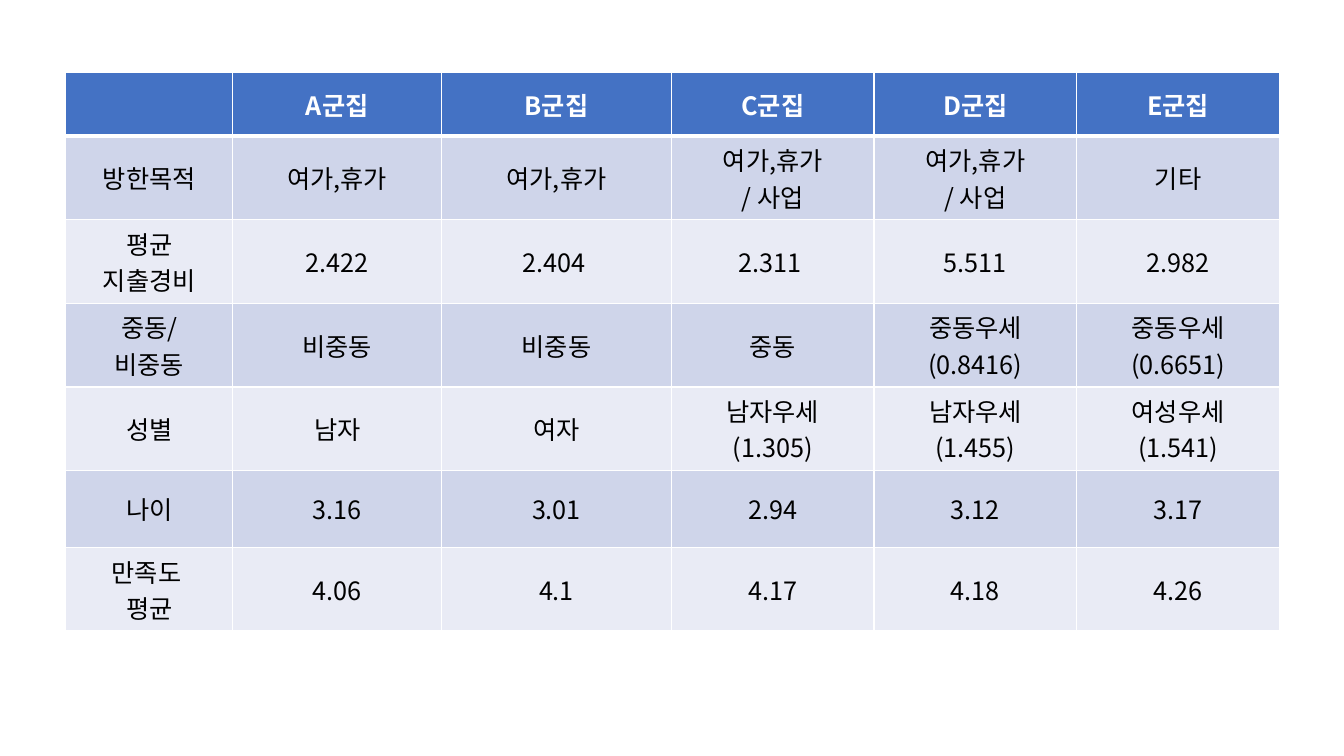
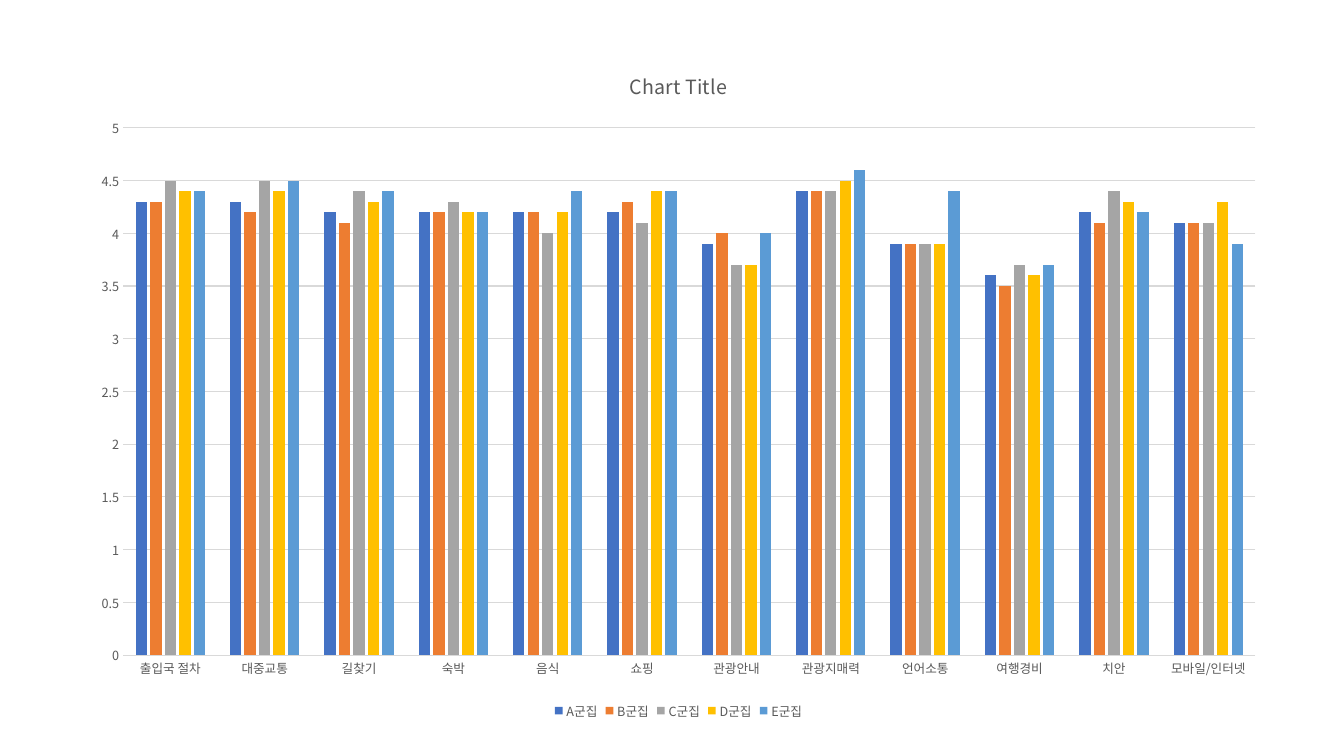
from lxml import etree
from pptx import Presentation
from pptx.chart.data import CategoryChartData
from pptx.dml.color import RGBColor
from pptx.enum.chart import XL_CHART_TYPE, XL_LEGEND_POSITION, XL_TICK_MARK
from pptx.enum.text import MSO_ANCHOR, PP_ALIGN
from pptx.oxml.ns import qn
from pptx.util import Inches, Pt

CLUSTERED = XL_CHART_TYPE.COLUMN_CLUSTERED
LEGEND_BOTTOM = XL_LEGEND_POSITION.BOTTOM
NO_TICK = XL_TICK_MARK.NONE
MIDDLE = MSO_ANCHOR.MIDDLE
CENTER = PP_ALIGN.CENTER

FONT = "Noto Sans CJK KR"
COLORS = {
    "white": "FFFFFF", "black": "000000", "header": "4472C4",
    "odd_row": "CFD5EA", "even_row": "E9EBF5",
    "chart_text": "595959", "chart_line": "D9D9D9",
    "A": "4472C4", "B": "ED7D31", "C": "A5A5A5", "D": "FFC000", "E": "5B9BD5",
}
CLUSTERS = {letter: f"{letter}군집" for letter in "ABCDE"}

TABLE_ROWS = [
    ["", *CLUSTERS.values()],
    ["방한목적", "여가,휴가", "여가,휴가", "여가,휴가\n/ 사업", "여가,휴가\n/ 사업", "기타"],
    ["평균\n지출경비", "2.422", "2.404 ", "2.311 ", "5.511", "2.982"],
    ["중동/\n비중동", "비중동", "비중동", "중동", "중동우세\n(0.8416)", "중동우세\n(0.6651)"],
    ["성별", "남자", "여자", "남자우세\n(1.305)", "남자우세\n(1.455)", "여성우세\n(1.541)"],
    ["나이", "3.16", "3.01", "2.94", "3.12", "3.17"],
    ["만족도 \n평균", "4.06", "4.1", "4.17", "4.18", "4.26"],
]
COLUMN_WIDTHS = [1.66, 2.07, 2.28] + [2.01] * 3
ROW_HEIGHTS = [0.63] + [0.83] * 3 + [0.77] * 3
TABLE_LEFT, TABLE_TOP = 0.65, 0.72

CHART_TITLE = "Chart Title"
CHART_BOX = (0.77, 0.46, 11.92, 6.72)
CATEGORIES = ["출입국 절차", "대중교통", "길찾기", "숙박", "음식", "쇼핑",
              "관광안내", "관광지매력", "언어소통", "여행경비", "치안", "모바일/인터넷"]
SCORES = {
    "A": [4.3, 4.3, 4.2, 4.2, 4.2, 4.2, 3.9, 4.4, 3.9, 3.6, 4.2, 4.1],
    "B": [4.3, 4.2, 4.1, 4.2, 4.2, 4.3, 4, 4.4, 3.9, 3.5, 4.1, 4.1],
    "C": [4.5, 4.5, 4.4, 4.3, 4, 4.1, 3.7, 4.4, 3.9, 3.7, 4.4, 4.1],
    "D": [4.4, 4.4, 4.3, 4.2, 4.2, 4.4, 3.7, 4.5, 3.9, 3.6, 4.3, 4.3],
    "E": [4.4, 4.5, 4.4, 4.2, 4.4, 4.4, 4, 4.6, 4.4, 3.7, 4.2, 3.9],
}


def color(name):
    return RGBColor.from_string(COLORS[name])


def style_font(font, size, color_name, bold=False):
    font.name = FONT
    font.size = Pt(size)
    font.bold = bold
    font.color.rgb = color(color_name)


def add_east_asian_font(element):
    for latin in list(element.iter(qn("a:latin"))):
        east_asian = etree.Element(qn("a:ea"), typeface=FONT)
        latin.addnext(east_asian)


def set_borders(cell, widths):
    properties = cell._tc.get_or_add_tcPr()
    for index, (side, width) in enumerate(widths.items()):
        line = etree.Element(qn(f"a:ln{side}"), w=str(Pt(width)))
        fill = etree.SubElement(line, qn("a:solidFill"))
        etree.SubElement(fill, qn("a:srgbClr"), val=COLORS["white"])
        properties.insert(index, line)


def fill_cell(cell, text, row):
    is_header = row == 0
    cell.text_frame.text = text
    cell.vertical_anchor = MIDDLE
    for paragraph in cell.text_frame.paragraphs:
        paragraph.alignment = CENTER
        for run in paragraph.runs:
            style_font(run.font, 18, "white" if is_header else "black", is_header)
    cell.fill.solid()
    cell.fill.fore_color.rgb = color(
        "header" if is_header else "odd_row" if row % 2 else "even_row")
    set_borders(cell, {"L": 1, "R": 1, "T": 3 if row == 1 else 1, "B": 3 if is_header else 1})


def add_cluster_table(slide):
    table = slide.shapes.add_table(
        len(ROW_HEIGHTS), len(COLUMN_WIDTHS), Inches(TABLE_LEFT), Inches(TABLE_TOP),
        Inches(sum(COLUMN_WIDTHS)), Inches(sum(ROW_HEIGHTS))).table
    for column, width in zip(table.columns, COLUMN_WIDTHS):
        column.width = Inches(width)
    for row, (height, texts) in enumerate(zip(ROW_HEIGHTS, TABLE_ROWS)):
        table.rows[row].height = Inches(height)
        for column, text in enumerate(texts):
            fill_cell(table.cell(row, column), text, row)
    add_east_asian_font(slide.element)


def style_line(line, color_name):
    line.width = Pt(0.75)
    line.color.rgb = color(color_name)


def add_score_chart(slide):
    data = CategoryChartData()
    data.categories = CATEGORIES
    for letter, values in SCORES.items():
        data.add_series(CLUSTERS[letter], values)
    chart = slide.shapes.add_chart(CLUSTERED, *map(Inches, CHART_BOX), data).chart
    style_font(chart.font, 10, "black")

    chart.has_title = True
    title = chart.chart_title
    title.include_in_layout = False
    title.text_frame.text = CHART_TITLE
    style_font(title.text_frame.paragraphs[0].runs[0].font, 14, "chart_text")

    chart.has_legend = True
    chart.legend.position = LEGEND_BOTTOM
    chart.legend.include_in_layout = False
    style_font(chart.legend.font, 9, "chart_text")

    plot = chart.plots[0]
    plot.gap_width = 219
    plot.overlap = -27
    plot.vary_by_categories = False
    for letter, series in zip(SCORES, plot.series):
        series.format.fill.solid()
        series.format.fill.fore_color.rgb = color(letter)

    for axis in (chart.category_axis, chart.value_axis):
        axis.major_tick_mark = axis.minor_tick_mark = NO_TICK
        style_font(axis.tick_labels.font, 9, "chart_text")
    style_line(chart.category_axis.format.line, "chart_line")
    value_axis = chart.value_axis
    value_axis.minimum_scale = 0
    value_axis.maximum_scale = 5
    value_axis.major_unit = 0.5
    value_axis.format.line.fill.background()
    value_axis.has_major_gridlines = True
    style_line(value_axis.major_gridlines.format.line, "chart_line")
    add_east_asian_font(chart.element)


def main():
    presentation = Presentation()
    presentation.slide_width = Inches(13.33)
    presentation.slide_height = Inches(7.5)
    blank_layout = presentation.slide_layouts[6]
    for add_content in (add_cluster_table, add_score_chart):
        add_content(presentation.slides.add_slide(blank_layout))
    presentation.save("out.pptx")


if __name__ == "__main__":
    main()
